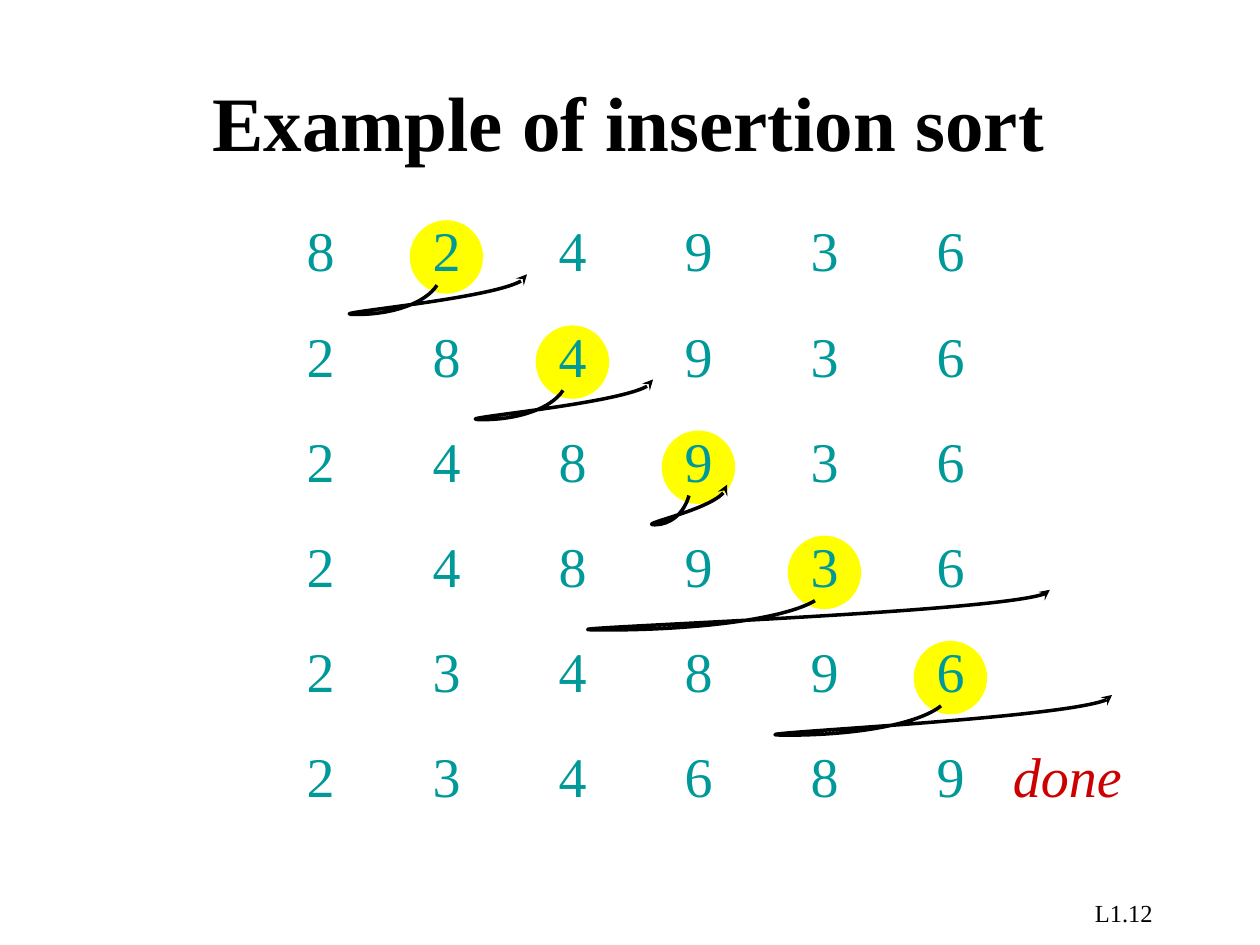
from lxml import etree
from pptx import Presentation
from pptx.dml.color import RGBColor
from pptx.enum.shapes import MSO_SHAPE
from pptx.enum.text import MSO_ANCHOR, PP_ALIGN
from pptx.oxml.ns import qn
from pptx.util import Cm, Pt

OVAL = MSO_SHAPE.OVAL
TOP, MIDDLE = MSO_ANCHOR.TOP, MSO_ANCHOR.MIDDLE
LEFT, CENTER, RIGHT = PP_ALIGN.LEFT, PP_ALIGN.CENTER, PP_ALIGN.RIGHT

THEME = {
    "font": "Times New Roman",
    "black": RGBColor(0x00, 0x00, 0x00),
    "teal": RGBColor(0x00, 0x99, 0x99),
    "red": RGBColor(0xCC, 0x00, 0x00),
    "yellow": RGBColor(0xFF, 0xFF, 0x00),
    "title": Pt(44),
    "digit": Pt(32),
    "foot": Pt(14),
    "line": Pt(2),
}

deck = Presentation()
deck.slide_width, deck.slide_height = Cm(25.4), Cm(19.05)
slide = deck.slides.add_slide(deck.slide_layouts[6])
shapes = slide.shapes


def add_text(text, x, y, w, h, size, color, align=CENTER, anchor=TOP, inset=0):
    box = shapes.add_textbox(Cm(x), Cm(y), Cm(w), Cm(h))
    frame = box.text_frame
    frame.word_wrap = inset > 0
    frame.margin_left = frame.margin_right = Cm(inset)
    frame.vertical_anchor = anchor
    para = frame.paragraphs[0]
    para.text = text
    para.alignment = align
    para.font.name = THEME["font"]
    para.font.size = THEME[size]
    para.font.color.rgb = THEME[color]
    return para


def add_swoop(x, y, span):
    """Draw a hooked arrow of two Bézier curves, starting at x and below y."""
    steps = [(0, 1.52), (-0.07, 1.88), (-0.27, 2.11), (-0.49, 2.11),
             (-0.77, 2.11), (0.56, 1.75), (0.55, 1.3)]
    points = [(Cm(x + dx * span), Cm(y + dy)) for dx, dy in steps]
    pen = shapes.build_freeform(*points[0])
    pen.add_line_segments(points[1:], close=False)
    swoop = pen.convert_to_shape()
    swoop.shadow.inherit = False
    swoop.fill.background()
    swoop.line.color.rgb = THEME["black"]
    swoop.line.width = THEME["line"]

    # Turn each three straight steps into one cubic curve
    node = swoop._element
    lines = node.xpath(".//a:lnTo")
    track = lines[0].getparent()
    for i in range(0, len(lines), 3):
        curve = etree.SubElement(track, qn("a:cubicBezTo"))
        for line in lines[i:i + 3]:
            curve.append(line[0])
            track.remove(line)
    etree.SubElement(node.xpath(".//a:ln")[0], qn("a:tailEnd"), type="stealth")


# Page mark and title
add_text("L1.12", 18.21, 17.98, 5.28, 0.64, "foot", "black", RIGHT, inset=0.25)
title = add_text("Example of insertion sort", 4.03, 0.84, 20.96, 3.18,
                 "title", "black", LEFT, MIDDLE, inset=0.25)
title.font.bold = True

# Sorting steps: each row of digits, with the width of its arrow
steps = [("824936", 3.3), ("284936", 3.3), ("248936", 1.4),
         ("248936", 8.61), ("234896", 6.27), ("234689", None)]
x0, y0 = 5.93, 4.23
gap_x, gap_y = 2.54, 2.12

for row, (digits, span) in enumerate(steps):
    y = y0 + row * gap_y
    key_x = x0 + (row + 1) * gap_x

    # Disc behind the key
    if span:
        disc = shapes.add_shape(OVAL, Cm(key_x - 0.21), Cm(y + 0.21), Cm(1.48), Cm(1.48))
        disc.shadow.inherit = False
        disc.fill.solid()
        disc.fill.fore_color.rgb = THEME["yellow"]
        disc.line.fill.background()

    for col, digit in enumerate(digits):
        add_text(digit, x0 + col * gap_x, y, 1.07, 1.62, "digit", "teal")

    if span:
        add_swoop(key_x + 0.34, y, span)

# Closing word on the last row
done = add_text("done", 20.17, y, 2.69, 1.62, "digit", "red")
done.font.italic = True

deck.save("out.pptx")
